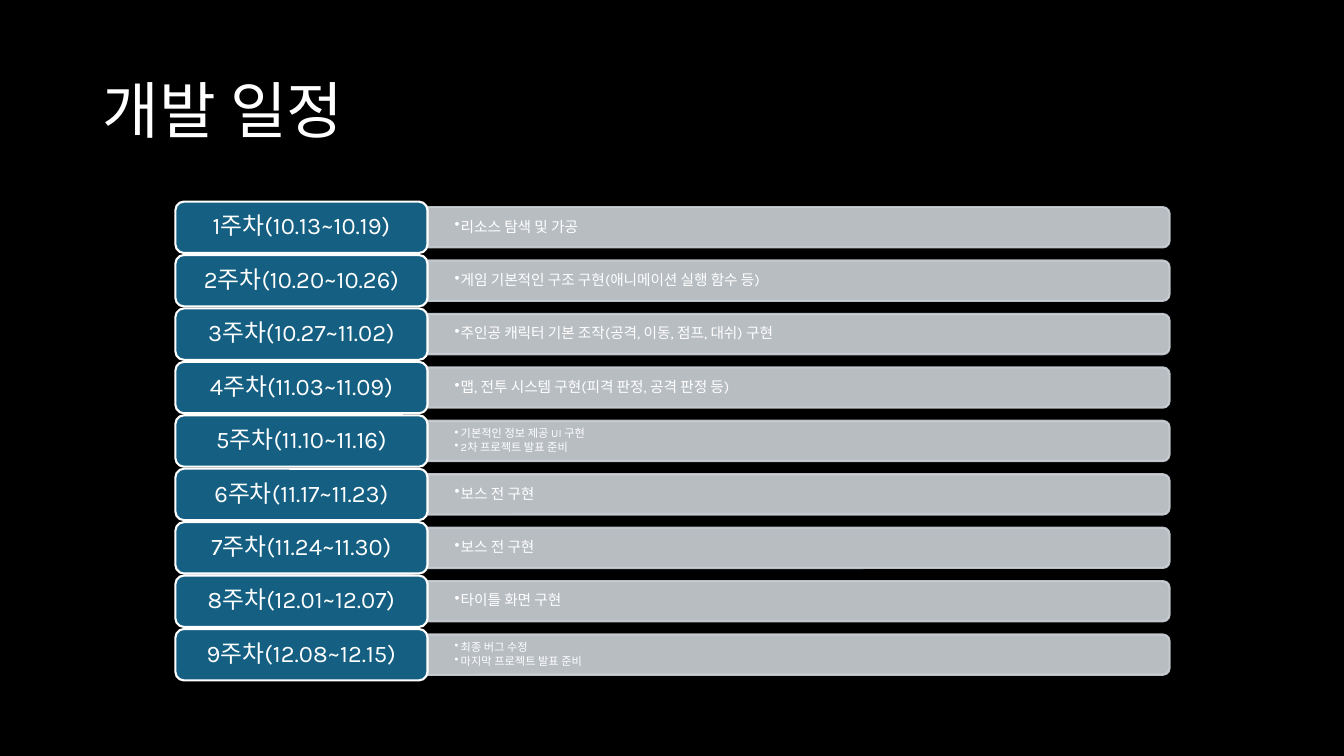
from pptx import Presentation
from pptx.dml.color import RGBColor
from pptx.enum.shapes import MSO_SHAPE
from pptx.enum.text import MSO_ANCHOR, PP_ALIGN
from pptx.oxml.ns import qn
from pptx.util import Inches, Pt
from lxml import etree

FONT = "Karla"
BLACK = RGBColor(0x00, 0x00, 0x00)
WHITE = RGBColor(0xFF, 0xFF, 0xFF)
BLUE = RGBColor(0x15, 0x60, 0x82)
GRAY = RGBColor(0xCC, 0xD2, 0xD8)
ROUND = MSO_SHAPE.ROUNDED_RECTANGLE
ROUND_TOP = MSO_SHAPE.ROUND_2_SAME_RECTANGLE
MIDDLE = MSO_ANCHOR.MIDDLE
LEFT, CENTER = PP_ALIGN.LEFT, PP_ALIGN.CENTER

TOP, PITCH = 2.0, 0.53
LABEL_X, LABEL_W, LABEL_H = 1.74, 2.5, 0.51
BAR_X, BAR_W, BAR_H = 4.24, 7.36, 0.4

WEEKS = [
    ("10.13~10.19", ["리소스 탐색 및 가공"]),
    ("10.20~10.26", ["게임 기본적인 구조 구현(애니메이션 실행 함수 등)"]),
    ("10.27~11.02", ["주인공 캐릭터 기본 조작(공격, 이동, 점프, 대쉬) 구현"]),
    ("11.03~11.09", ["맵, 전투 시스템 구현(피격 판정, 공격 판정 등)"]),
    ("11.10~11.16", ["기본적인 정보 제공 UI 구현", "2차 프로젝트 발표 준비"]),
    ("11.17~11.23", ["보스 전 구현"]),
    ("11.24~11.30", ["보스 전 구현"]),
    ("12.01~12.07", ["타이틀 화면 구현"]),
    ("12.08~12.15", ["최종 버그 수정", "마지막 프로젝트 발표 준비"]),
]


def write(tf, lines, size, align=LEFT, margins=(0.1, 0.05), after=0, bullet=False):
    """Fill a text frame with formatted paragraphs."""
    tf.word_wrap = True
    tf.vertical_anchor = MIDDLE
    tf.margin_left = tf.margin_right = Inches(margins[0])
    tf.margin_top = tf.margin_bottom = Inches(margins[1])
    for i, line in enumerate(lines):
        p = tf.add_paragraph() if i else tf.paragraphs[0]
        p.alignment = align
        p.line_spacing = 0.9
        p.space_after = Pt(round(size * after, 1))
        r = p.add_run()
        r.text = line
        r.font.name, r.font.size = FONT, Pt(size)
        r.font.color.rgb = WHITE
        if bullet:
            pPr = p._p.get_or_add_pPr()
            pPr.set("marL", str(Inches(0.06)))
            pPr.set("indent", str(-Inches(0.06)))
            etree.SubElement(pPr, qn("a:buChar")).set("char", "•")


class Schedule:
    """Draw the weekly schedule on one slide in one style."""

    def __init__(self, prs):
        self.s = prs.slides.add_slide(prs.slide_layouts[5])
        self.s.background.fill.solid()
        self.s.background.fill.fore_color.rgb = BLACK

    def title(self, text):
        """Place the slide title."""
        sp = self.s.shapes.title
        sp.left, sp.top = Inches(0.92), Inches(0.4)
        sp.width, sp.height = Inches(11.5), Inches(1.45)
        write(sp.text_frame, [text], 44)

    def shape(self, kind, x, y, w, h, fill, line, alpha=None):
        """Add a filled and outlined shape."""
        sp = self.s.shapes.add_shape(kind, Inches(x), Inches(y), Inches(w), Inches(h))
        sp.shadow.inherit = False
        sp.fill.solid()
        sp.fill.fore_color.rgb = fill
        sp.line.color.rgb = line
        sp.line.width = Pt(1.5)
        if alpha:
            for clr in sp._element.spPr.iter(qn("a:srgbClr")):
                etree.SubElement(clr, qn("a:alpha")).set("val", str(alpha * 1000))
        return sp

    def bar(self, y, tasks):
        """Add a bar rounded on its right end, with its tasks."""
        x = BAR_X + (BAR_W - BAR_H) / 2
        top = y + (LABEL_H - BAR_W) / 2
        sp = self.shape(ROUND_TOP, x, top, BAR_H, BAR_W, GRAY, GRAY, alpha=90)
        sp.rotation = 90
        tb = self.s.shapes.add_textbox(Inches(BAR_X), Inches(y + 0.07), Inches(7.34), Inches(0.37))
        size = 10.5 if len(tasks) == 1 else 8
        write(tb.text_frame, tasks, size, margins=(0.27, 0.14), after=0.15, bullet=True)

    def label(self, y, text):
        """Add the week label at the left of a row."""
        sp = self.shape(ROUND, LABEL_X, y, LABEL_W, LABEL_H, BLUE, WHITE)
        write(sp.text_frame, [text], 17, align=CENTER, margins=(0.09, 0.06), after=0.35)


def main():
    prs = Presentation()
    prs.slide_width, prs.slide_height = Inches(13.33), Inches(7.5)
    schedule = Schedule(prs)
    schedule.title("개발 일정")
    for i, (dates, tasks) in enumerate(WEEKS):
        y = TOP + i * PITCH
        schedule.bar(y, tasks)
        schedule.label(y, f"{i + 1}주차({dates})")
    prs.save("out.pptx")


if __name__ == "__main__":
    main()
